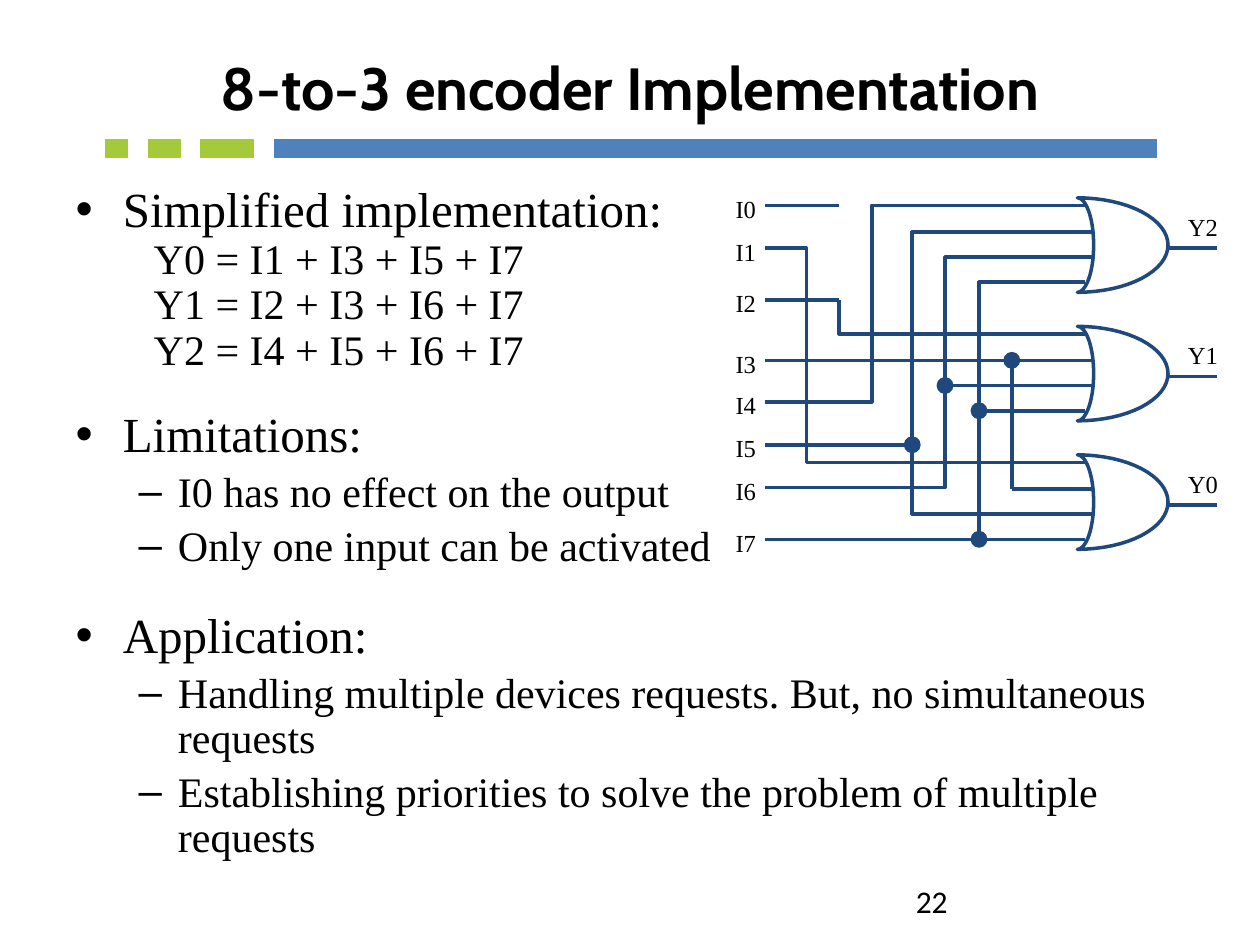
from math import cos, pi, sin

from pptx import Presentation
from pptx.dml.color import RGBColor
from pptx.enum.shapes import MSO_CONNECTOR as Connector, MSO_SHAPE as Shape
from pptx.enum.text import MSO_ANCHOR as Anchor, MSO_AUTO_SIZE as AutoSize, PP_ALIGN as Align
from pptx.oxml.ns import qn
from pptx.util import Inches, Pt

COLORS = {"wire": "1F497D", "bar": "4F81BD", "accent": "A4CA39", "text": "000000"}
SERIF = "Times New Roman"

BARS = [(0.84, 0.17, "accent"), (1.18, 0.25, "accent"), (1.59, 0.42, "accent"), (2.18, 7, "bar")]

# text, kind, space before in points
BODY = [
    ("Simplified implementation:", "topic", 0),
    ("Y0 = I1 + I3 + I5 + I7", "formula", 0),
    ("Y1 = I2 + I3 + I6 + I7", "formula", 0),
    ("Y2 = I4 + I5 + I6 + I7", "formula", 0),
    ("Limitations:", "topic", 20.5),
    ("I0 has no effect on the output", "detail", 4.8),
    ("Only one input can be activated", "detail", 4.8),
    ("Application:", "topic", 23),
    ("Handling multiple devices requests. But, no simultaneous requests", "detail", 4.8),
    ("Establishing priorities to solve the problem of multiple requests", "detail", 4.8),
]

# Circuit geometry, in inches
INPUT_X, PIN_X, GATE_X = 6.07, 8.03, 8.55
GATE_WIDTH, GATE_HEIGHT, GATE_PITCH = 0.72, 0.75, 1.02
INPUT_YS = [1.63, 1.97, 2.38, 2.86, 3.19, 3.53, 3.87, 4.28]
INPUT_ENDS = [6.66, 6.33, 6.66, PIN_X, 6.66, 6.66, 6.66, PIN_X]
GATE_TOPS = {name: 1.57 + i * GATE_PITCH for i, name in enumerate(["Y2", "Y1", "Y0"])}
PIN_OFFSETS = [0.06, 0.27, 0.47, 0.67]
PIN_STARTS = {("Y1", 2): 7.5, ("Y1", 3): 7.77}
BUS_I5, BUS_I6, BUS_I7 = 7.24, 7.5, 7.77


def pin_y(gate, pin):
    return GATE_TOPS[gate] + PIN_OFFSETS[pin]


def routes():
    """Bent wires from the gate pins back to the inputs."""
    i1, i2, i4, i5, i6, i7 = (INPUT_YS[n] for n in (1, 2, 4, 5, 6, 7))
    bends = [
        ("Y2", 3, [(BUS_I7, i7)]),
        ("Y2", 2, [(BUS_I6, i6), (6.59, i6)]),
        ("Y2", 1, [(BUS_I5, i5), (6.59, i5)]),
        ("Y0", 2, [(BUS_I5, i5)]),
        ("Y2", 0, [(6.92, i4), (6.66, i4)]),
        ("Y1", 0, [(6.66, i2)]),
        ("Y0", 0, [(6.4, i1), (6.27, i1)]),
    ]
    for gate, pin, rest in bends:
        y = pin_y(gate, pin)
        yield [(PIN_X, y), (rest[0][0], y), *rest]


def half_ellipse(x, top, width, height, steps=32):
    """Points of the right half of an ellipse, from top to bottom."""
    angles = [pi * i / steps for i in range(steps + 1)]
    return [(x + width * sin(a), top + height / 2 * (1 - cos(a))) for a in angles]


class SlideBuilder:
    def __init__(self, slide):
        self.slide = slide
        self.shapes = slide.shapes

    def color(self, name):
        return RGBColor.from_string(COLORS[name])

    def style_font(self, paragraph, size, name=SERIF, bold=False):
        for run in paragraph.runs:
            run.font.size, run.font.name, run.font.bold = Pt(size), name, bold
            run.font.color.rgb = self.color("text")

    def place(self, shape, left, top, width, height):
        shape.left, shape.top = Inches(left), Inches(top)
        shape.width, shape.height = Inches(width), Inches(height)

    def title(self, text):
        title = self.shapes.title
        self.place(title, 0.5, 0.3, 9, 0.78)
        frame = title.text_frame
        frame.text = text
        frame.auto_size = AutoSize.NONE
        frame.vertical_anchor = Anchor.MIDDLE
        frame.paragraphs[0].alignment = Align.CENTER
        self.style_font(frame.paragraphs[0], 34, "Cabin", True)

    def body(self, items):
        body = self.slide.placeholders[1]
        self.place(body, 0.5, 1.42, 9, 5.28)
        frame = body.text_frame
        frame.auto_size = AutoSize.NONE
        for i, (text, kind, before) in enumerate(items):
            paragraph = frame.paragraphs[0] if i == 0 else frame.add_paragraph()
            paragraph.text = text
            if kind == "detail":
                paragraph.level = 1
            elif kind == "formula":
                properties = paragraph._p.get_or_add_pPr()
                properties.set("marL", str(Inches(0.62)))
                properties.set("indent", "0")
                properties.append(properties.makeelement(qn("a:buNone"), {}))
            paragraph.line_spacing = 0.9
            paragraph.space_before = Pt(before)
            self.style_font(paragraph, 28 if kind == "topic" else 24)

    def label(self, text, left, top, width=0.46, height=0.27, size=14, font=SERIF):
        box = self.shapes.add_textbox(Inches(left), Inches(top), Inches(width), Inches(height))
        box.text_frame.word_wrap = True
        box.text_frame.text = text
        self.style_font(box.text_frame.paragraphs[0], size, font)

    def filled(self, preset, left, top, width, height, color, line_width):
        shape = self.shapes.add_shape(preset, Inches(left), Inches(top), Inches(width), Inches(height))
        shape.shadow.inherit = False
        shape.fill.solid()
        shape.fill.fore_color.rgb = self.color(color)
        self.stroke(shape, color, line_width)

    def stroke(self, shape, color="wire", width=2):
        shape.line.color.rgb = self.color(color)
        shape.line.width = Pt(width)

    def wire(self, x1, y1, x2, y2):
        line = self.shapes.add_connector(
            Connector.STRAIGHT, Inches(x1), Inches(y1), Inches(x2), Inches(y2))
        self.stroke(line)
        properties = line._element.spPr
        properties.append(properties.makeelement(qn("a:effectLst"), {}))

    def outline(self, points, close=False):
        start, *rest = [(Inches(x), Inches(y)) for x, y in points]
        builder = self.shapes.build_freeform(*start)
        builder.add_line_segments(rest, close=close)
        shape = builder.convert_to_shape()
        shape.shadow.inherit = False
        shape.fill.background()
        self.stroke(shape)

    def dot(self, x, y, size=0.12):
        self.filled(Shape.OVAL, x - size / 2, y - size / 2, size, size, "wire", 1)

    def or_gate(self, name):
        top = GATE_TOPS[name]
        front = half_ellipse(GATE_X, top, GATE_WIDTH, GATE_HEIGHT)
        back = half_ellipse(GATE_X, top, 0.13, GATE_HEIGHT)
        self.outline(front + back[::-1], close=True)
        for pin, end in enumerate([8.61, 8.68, 8.68, 8.61]):
            y = pin_y(name, pin)
            self.wire(end, y, PIN_STARTS.get((name, pin), PIN_X), y)
        output_y = top + 0.4
        self.wire(9.66, output_y, GATE_X + GATE_WIDTH, output_y)
        self.label(name, 9.33, top + 0.06)


def main():
    presentation = Presentation()
    presentation.slide_width, presentation.slide_height = Inches(10), Inches(7.5)
    page = SlideBuilder(presentation.slides.add_slide(presentation.slide_layouts[1]))

    for left, width, color in BARS:
        page.filled(Shape.RECTANGLE, left, 1.11, width, 0.14, color, 0.75)
    page.title("8-to-3 encoder Implementation")
    page.body(BODY)
    page.label("22", 7.17, 6.95, 2.33, 0.4, 18, "Calibri")

    for gate in GATE_TOPS:
        page.or_gate(gate)
    for number, (y, end) in enumerate(zip(INPUT_YS, INPUT_ENDS)):
        page.wire(end, y, INPUT_X, y)
        page.label(f"I{number}", 5.74, y - 0.14)
    page.wire(PIN_X, INPUT_YS[3], PIN_X, pin_y("Y0", 1))
    for points in routes():
        page.outline(points)

    junctions = [(PIN_X, INPUT_YS[3]), (BUS_I7, pin_y("Y1", 3)), (BUS_I6, pin_y("Y1", 2)),
                 (BUS_I5, INPUT_YS[5]), (BUS_I7, INPUT_YS[7])]
    for x, y in junctions:
        page.dot(x, y)

    presentation.save("out.pptx")


if __name__ == "__main__":
    main()
